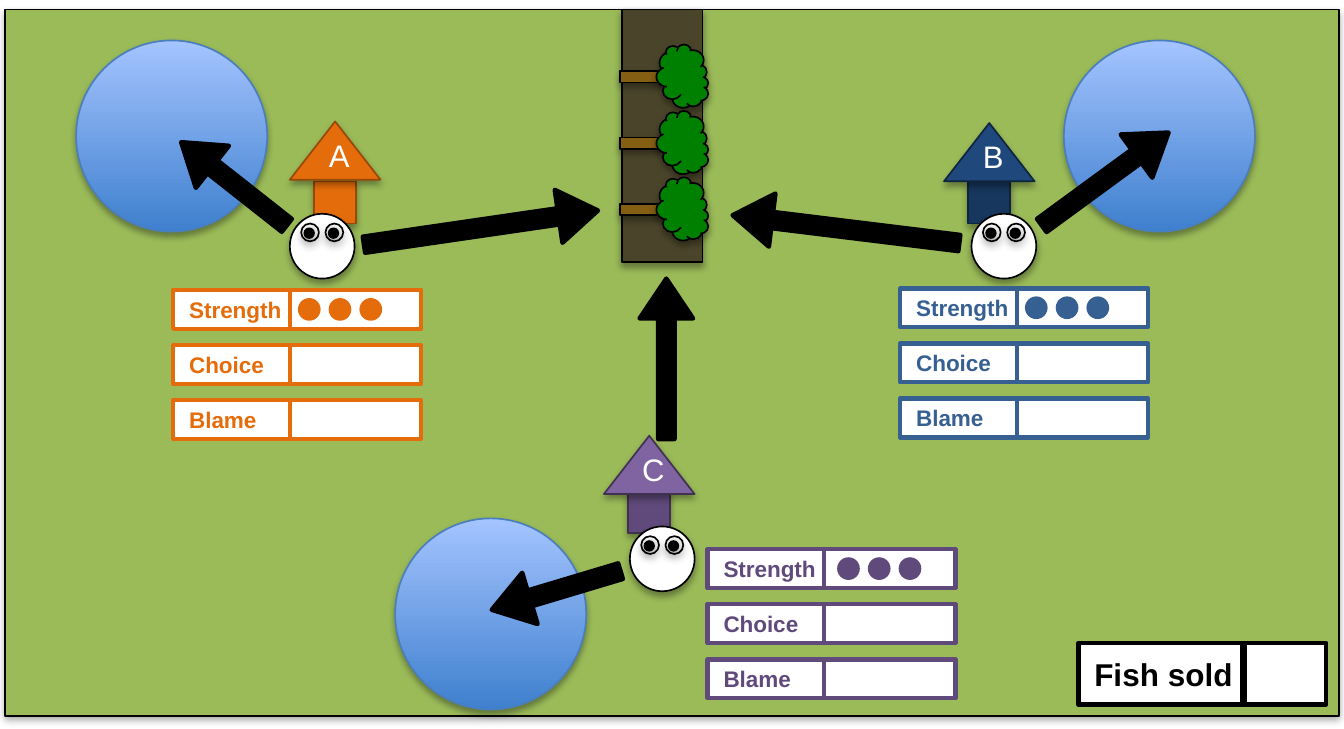
from lxml import etree
from pptx import Presentation
from pptx.dml.color import RGBColor
from pptx.enum.shapes import MSO_CONNECTOR, MSO_SHAPE
from pptx.enum.text import MSO_ANCHOR, PP_ALIGN
from pptx.oxml.ns import qn
from pptx.util import Inches, Pt

RECT = MSO_SHAPE.RECTANGLE
OVAL = MSO_SHAPE.OVAL
TRIANGLE = MSO_SHAPE.ISOSCELES_TRIANGLE
ARROW = MSO_SHAPE.LEFT_ARROW
CLOUD = MSO_SHAPE.CLOUD
STRAIGHT = MSO_CONNECTOR.STRAIGHT
MIDDLE = MSO_ANCHOR.MIDDLE
BOTTOM = MSO_ANCHOR.BOTTOM
LEFT = PP_ALIGN.LEFT
CENTER = PP_ALIGN.CENTER

BLACK = "000000"
WHITE = "FFFFFF"

PONDS = [(0.47, 0.25), (2.44, 3.2), (6.57, 0.25)]
ARROWS = [
    (1.03, 0.97, 0.83, 38.2),
    (2.24, 1.24, 1.46, 171.7),
    (3.02, 3.48, 0.83, 343.3),
    (3.62, 2.05, 0.99, 90),
    (4.52, 1.25, 1.41, 7),
    (6.34, 0.94, 0.97, 143.8),
]
PLAYERS = [
    dict(name="A", roof=(1.79, 0.75), wall=(1.94, 1.12), head=(1.79, 1.32),
         panel=(1.07, 1.79), dots=1.84,
         colors=("E46C0A", "E46C0A", "984807", "E46C0A")),
    dict(name="B", roof=(5.83, 0.76), wall=(5.98, 1.12), head=(6, 1.32),
         panel=(5.56, 1.78), dots=6.33,
         colors=("1F497D", "17375E", "0F243E", "376092")),
    dict(name="C", roof=(3.73, 2.69), wall=(3.88, 3.03), head=(3.89, 3.25),
         panel=(4.37, 3.39), dots=5.17,
         colors=("8064A2", "604A7B", "403152", "604A7B")),
]


def rgb(value):
    return RGBColor.from_string(value)


class Board:
    font = "Arial"

    def __init__(self, slide):
        self.s = slide

    def shape(self, kind, x, y, w, h, fill=None, line=None, width=0.75,
              shadow=False, rot=0, group=None):
        shapes = (group or self.s).shapes
        sp = shapes.add_shape(kind, Inches(x), Inches(y), Inches(w), Inches(h))
        sp.rotation = rot
        sp.shadow.inherit = False
        if fill:
            sp.fill.solid()
            sp.fill.fore_color.rgb = rgb(fill)
        else:
            sp.fill.background()
        if line:
            sp.line.color.rgb = rgb(line)
            sp.line.width = Pt(width)
        else:
            sp.line.fill.background()
        if shadow:
            self.shadow(sp)
        return sp

    def shadow(self, sp):
        effects = sp._element.spPr.find(qn("a:effectLst"))
        outer = etree.SubElement(effects, qn("a:outerShdw"), blurRad=str(Pt(3.1)),
                                 dist=str(Pt(1.8)), dir="5400000", rotWithShape="0")
        color = etree.SubElement(outer, qn("a:srgbClr"), val=BLACK)
        etree.SubElement(color, qn("a:alpha"), val="35000")

    def text(self, sp, text, size, color, bold=False, align=LEFT, anchor=MIDDLE,
             insets=(0.1, 0.1, 0.05)):
        tf = sp.text_frame
        tf.word_wrap = False
        tf.vertical_anchor = anchor
        tf.margin_left, tf.margin_right, tf.margin_bottom = map(Inches, insets)
        tf.margin_top = tf.margin_bottom
        p = tf.paragraphs[0]
        p.text = text
        p.alignment = align
        p.font.name = self.font
        p.font.size = Pt(size)
        p.font.bold = bold
        p.font.color.rgb = rgb(color)

    def divider(self, x, y, h, color, width):
        c = self.s.shapes.add_connector(STRAIGHT, Inches(x), Inches(y),
                                        Inches(x), Inches(y + h))
        c.line.color.rgb = rgb(color)
        c.line.width = Pt(width)
        etree.SubElement(c._element.spPr, qn("a:effectLst"))

    def field(self, label, x, y, h, split, color, size, divider_width):
        sp = self.shape(RECT, x, y, 1.53, h, WHITE, color, 2)
        self.text(sp, label, size, color, bold=True)
        self.divider(x + split, y, h, color, divider_width)

    def pond(self, x, y):
        sp = self.shape(OVAL, x, y, 1.18, 1.18, line="4B7EBC", shadow=True)
        sp.fill.gradient()
        sp.fill.gradient_angle = 90
        for stop, color in zip(sp.fill.gradient_stops, ("3F80CE", "A4C4FF")):
            stop.color.rgb = rgb(color)

    def arrow(self, x, y, length, rot):
        sp = self.shape(ARROW, x, y, length, 0.33, BLACK, BLACK, 2, rot=rot)
        sp.adjustments[0] = 0.305
        sp.adjustments[1] = 0.744

    def head(self, x, y):
        g = self.s.shapes.add_group_shape()
        self.shape(OVAL, x, y, 0.4, 0.4, WHITE, BLACK, shadow=True, group=g)
        for dx, dy, size, fill in ((0.07, 0.06, 0.11, None), (0.09, 0.09, 0.06, BLACK)):
            for i in range(2):
                self.shape(OVAL, x + dx + 0.15 * i, y + dy, size, size, fill, BLACK,
                           shadow=True, group=g)

    def tree(self, y):
        g = self.s.shapes.add_group_shape()
        self.shape(RECT, 3.98, y, 0.07, 0.37, "835E13", BLACK,
                   shadow=True, rot=90, group=g)
        self.shape(CLOUD, 4.02, y + 0.02, 0.39, 0.32, "008000", BLACK,
                   shadow=True, rot=90, group=g)

    def player(self, name, roof, wall, head, panel, dots, colors):
        roof_color, wall_color, edge, accent = colors
        self.shape(RECT, *wall, 0.26, 0.26, wall_color, edge, shadow=True)
        self.head(*head)
        x, y = panel
        for i, label in enumerate(("Strength", "Choice", "Blame")):
            self.field(label, x, y + 0.34 * i, 0.24, 0.72, accent, 10, 1.5)
        for i in range(3):
            self.shape(OVAL, dots + 0.19 * i, y + 0.05, 0.14, 0.14, accent)
        sp = self.shape(TRIANGLE, *roof, 0.56, 0.36, roof_color, edge, shadow=True)
        self.text(sp, name, 13.8, WHITE, align=CENTER, anchor=BOTTOM,
                  insets=(0.05, 0, 0.04))


def main():
    prs = Presentation()
    prs.slide_width = Inches(8.3)
    prs.slide_height = Inches(4.5)
    board = Board(prs.slides.add_slide(prs.slide_layouts[6]))
    board.shape(RECT, 0.03, 0.06, 8.24, 4.36, "9BBB59", BLACK, shadow=True)
    for pond in PONDS:
        board.pond(*pond)
    board.shape(RECT, 3.84, 0.06, 0.5, 1.56, "4A452A", BLACK, shadow=True)
    for arrow in ARROWS:
        board.arrow(*arrow)
    for player in PLAYERS:
        board.player(**player)
    for i in range(3):
        board.tree(0.29 + 0.41 * i)
    board.field("Fish sold", 6.66, 3.97, 0.38, 1.02, BLACK, 14, 3)
    prs.save("out.pptx")


if __name__ == "__main__":
    main()
